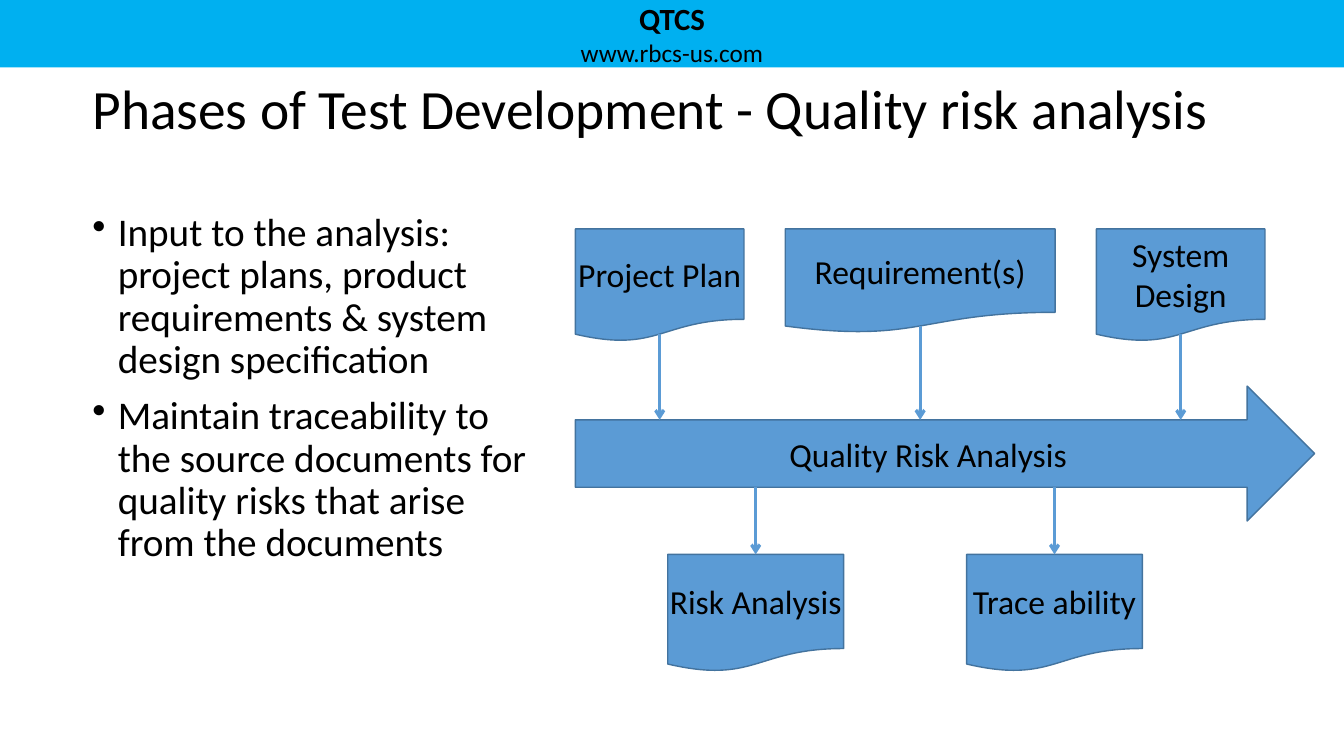
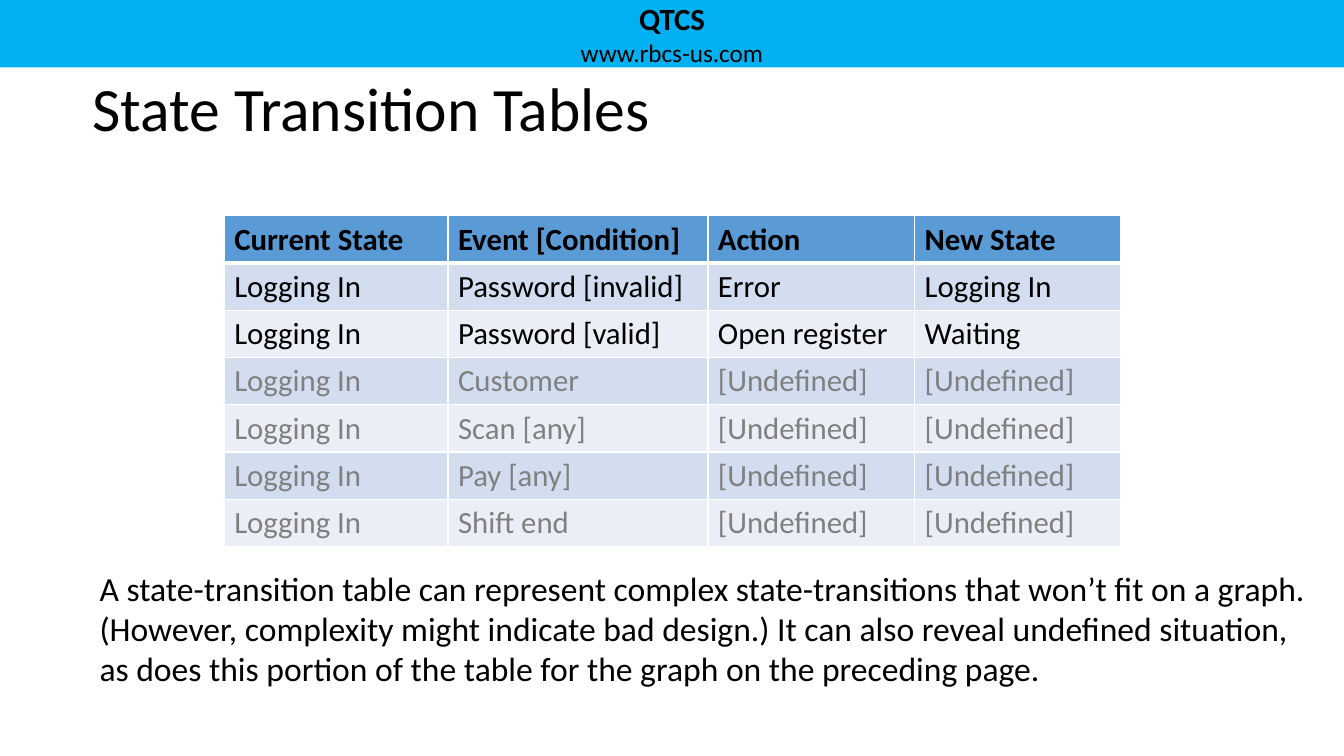
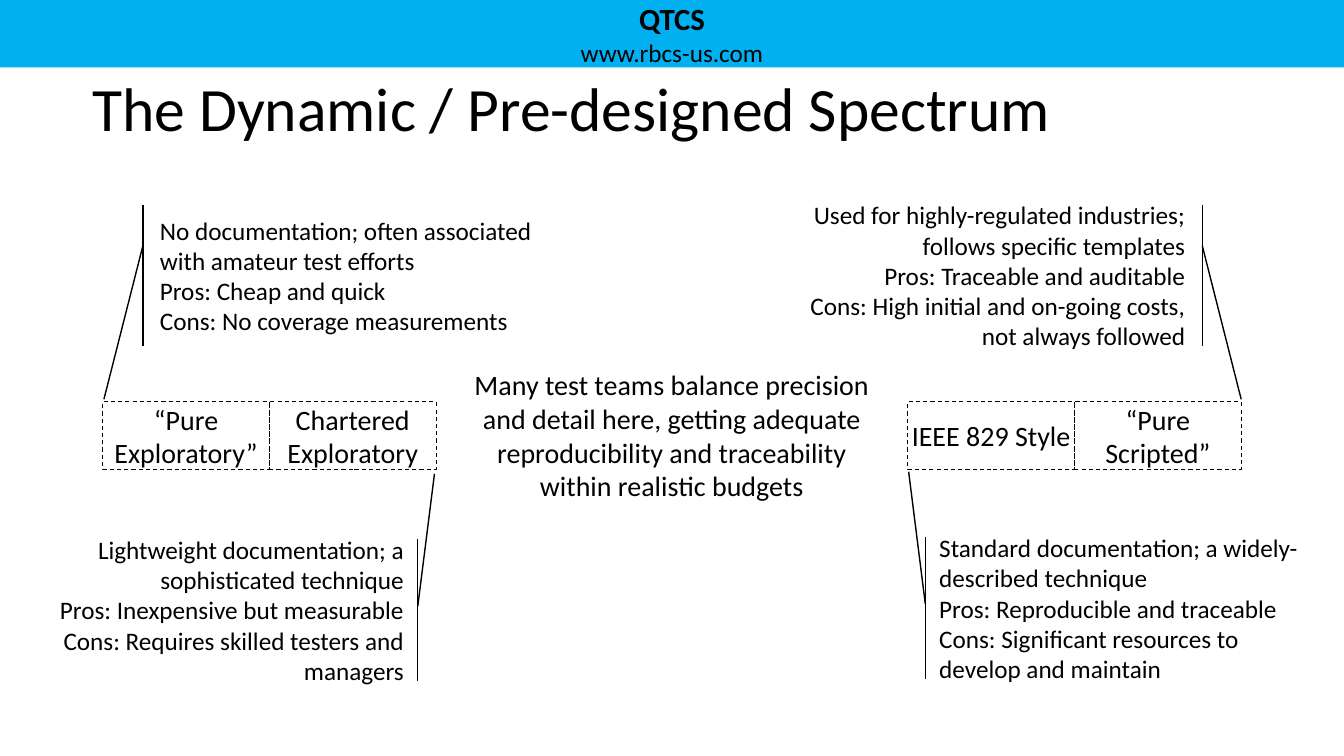
from lxml import etree
from pptx import Presentation, util as u
from pptx.dml.color import RGBColor
from pptx.enum import dml, shapes, text
from pptx.oxml import ns

WIDTH, HEIGHT = 33.87, 19.05
LEFT, CENTER, RIGHT = text.PP_ALIGN.LEFT, text.PP_ALIGN.CENTER, text.PP_ALIGN.RIGHT
TOP, MIDDLE = text.MSO_ANCHOR.TOP, text.MSO_ANCHOR.MIDDLE
SHAPE = shapes.MSO_SHAPE


def rgb(value):
    return RGBColor.from_string(value)


def add_xml(parent, tag, **attrs):
    return etree.SubElement(parent, ns.qn(tag), attrs)


def write(tf, txt, size=18, bold=False, color="000000", align=LEFT,
          spacing=None, before=0, bullet=None):
    p = tf.add_paragraph() if tf.text else tf.paragraphs[0]
    if bullet:
        pPr = p._p.get_or_add_pPr()
        pPr.set("marL", str(u.Cm(0.64)))
        pPr.set("indent", str(-u.Cm(0.64)))
        add_xml(pPr, "a:buChar", char=bullet)
    p.alignment = align
    if spacing:
        p.line_spacing = spacing
    if before:
        p.space_before = u.Pt(before)
    r = p.add_run()
    r.text = txt
    r.font.name = "Calibri"
    r.font.size = u.Pt(size)
    r.font.bold = bold
    r.font.color.rgb = rgb(color)


class Deck:
    BAND, ACCENT, EDGE = "00B0F0", "5B9BD5", "43739E"
    STRIPES = "EAEFF7", "D2DEEF"

    def __init__(self):
        self.prs = Presentation()
        self.prs.slide_width = u.Cm(WIDTH)
        self.prs.slide_height = u.Cm(HEIGHT)

    def slide(self, title, size=44):
        self.s = self.prs.slides.add_slide(self.prs.slide_layouts[6])
        band = self.shape(SHAPE.RECTANGLE, 0, 0, WIDTH, 1.7, fill=self.BAND,
                          anchor=TOP, margins=(0.25, 0, 0.25, 0))
        write(band.text_frame, "QTCS", size=22, bold=True, align=CENTER)
        write(band.text_frame, "www.rbcs-us.com", align=CENTER)
        tf = self.text(2.33, 1.48, 29.21, 2.54, anchor=MIDDLE, margins=(0, 0.13, 0, 0))
        write(tf, title, size=size, spacing=0.9)

    def frame(self, tf, anchor, margins):
        tf.word_wrap = True
        tf.vertical_anchor = anchor
        (tf.margin_left, tf.margin_top,
         tf.margin_right, tf.margin_bottom) = map(u.Cm, margins)
        return tf

    def text(self, x, y, w, h, anchor=TOP, margins=(0, 0, 0, 0)):
        sp = self.s.shapes.add_textbox(u.Cm(x), u.Cm(y), u.Cm(w), u.Cm(h))
        return self.frame(sp.text_frame, anchor, margins)

    def shape(self, kind, x, y, w, h, fill=None, line=None, width=1, dash=None,
              anchor=MIDDLE, margins=(0, 0, 0, 0)):
        sp = self.s.shapes.add_shape(kind, u.Cm(x), u.Cm(y), u.Cm(w), u.Cm(h))
        sp.shadow.inherit = False
        if fill:
            sp.fill.solid()
            sp.fill.fore_color.rgb = rgb(fill)
        else:
            sp.fill.background()
        if line:
            sp.line.color.rgb = rgb(line)
            sp.line.width = u.Pt(width)
            if dash:
                sp.line.dash_style = dash
        else:
            sp.line.fill.background()
        self.frame(sp.text_frame, anchor, margins)
        return sp

    def block(self, kind, label, x, y, w, h):
        sp = self.shape(kind, x, y, w, h, fill=self.ACCENT, line=self.EDGE)
        write(sp.text_frame, label, size=24, align=CENTER)
        return sp

    def dashed_box(self, label, x, y, w, h):
        sp = self.shape(SHAPE.RECTANGLE, x, y, w, h, line="000000", width=0.75,
                        dash=dml.MSO_LINE.DASH)
        write(sp.text_frame, label, size=20, align=CENTER)

    def arrow(self, x, top, bottom, target=None):
        c = self.s.shapes.add_connector(shapes.MSO_CONNECTOR.STRAIGHT,
                                        u.Cm(x), u.Cm(top), u.Cm(x), u.Cm(bottom))
        c.line.color.rgb = rgb(self.ACCENT)
        c.line.width = u.Pt(2.25)
        add_xml(c.line._get_or_add_ln(), "a:tailEnd", type="arrow")
        add_xml(c._element.spPr, "a:effectLst")
        if target:
            c.end_connect(target, 0)

    def callout(self, lines, x, y, adjustments, mirrored):
        sp = self.shape(SHAPE.LINE_CALLOUT_1_ACCENT_BAR, x, y, 10, 3.56,
                        line="000000", margins=(0.25, 0.13, 0.25, 0.13))
        for i, value in enumerate(adjustments):
            sp.adjustments[i] = 1 - value if mirrored and i % 2 else value
        for line in lines:
            write(sp.text_frame, line, align=RIGHT if mirrored else LEFT)

    def table(self, rows, x, y, widths, row_height, muted_from):
        tbl = self.s.shapes.add_table(len(rows), len(widths), u.Cm(x), u.Cm(y),
                                      u.Cm(sum(widths)),
                                      u.Cm(row_height * len(rows))).table
        for col, w in zip(tbl.columns, widths):
            col.width = u.Cm(w)
        for i, row in enumerate(rows):
            for j, label in enumerate(row):
                cell = tbl.cell(i, j)
                write(cell.text_frame, label, size=22, bold=i == 0,
                      color="808080" if i >= muted_from else "000000")
                self.borders(cell, top=3 if i == 1 else 1, bottom=3 if i == 0 else 1)
                cell.fill.solid()
                cell.fill.fore_color.rgb = rgb(self.STRIPES[i % 2] if i else self.ACCENT)

    def borders(self, cell, top, bottom):
        tcPr = cell._tc.get_or_add_tcPr()
        for side, width in zip("LRTB", (1, 1, top, bottom)):
            ln = add_xml(tcPr, f"a:ln{side}", w=str(u.Pt(width)))
            add_xml(add_xml(ln, "a:solidFill"), "a:srgbClr", val="FFFFFF")


def risk_analysis(d):
    d.slide("Phases of Test Development - Quality risk analysis", size=39.6)
    left, top, body_top, body_bottom = 14.5, 5.77, 10.58, 12.28
    d.block(SHAPE.RIGHT_ARROW, "Quality Risk Analysis", left, 9.73, 18.63, 3.4)
    x = left
    for label, w, h in (("Project Plan", 4.25, 2.84), ("Requirement(s)", 6.8, 2.62),
                        ("System Design", 4.25, 2.84)):
        d.block(SHAPE.FLOWCHART_DOCUMENT, label, x, top, w, h)
        d.arrow(x + w / 2, top + 0.93 * h, body_top)
        x += w + 1.04
    out_top, out_width = 13.97, 4.43
    for label, x in (("Risk Analysis", 16.83), ("Trace ability", 24.36)):
        sp = d.block(SHAPE.FLOWCHART_DOCUMENT, label, x, out_top, out_width, 2.96)
        d.arrow(x + out_width / 2, body_bottom, out_top, sp)
    tf = d.text(2.33, 5.36, 11.43, 13.23)
    for i, line in enumerate((
            "Input to the analysis: project plans, product requirements & system "
            "design specification",
            "Maintain traceability to the source documents for quality risks that "
            "arise from the documents")):
        write(tf, line, size=28, spacing=0.9, before=10 if i else 0, bullet="•")


def transition_tables(d):
    d.slide("State Transition Tables")
    undefined = ["[Undefined]"] * 2
    rows = [["Current State", "Event [Condition]", "Action", "New State"],
            ["Logging In", "Password [invalid]", "Error", "Logging In"],
            ["Logging In", "Password [valid]", "Open register", "Waiting"]]
    rows += [["Logging In", event, *undefined]
             for event in ("Customer", "Scan [any]", "Pay [any]", "Shift end")]
    d.table(rows, 5.65, 5.44, (5.64, 6.55, 5.21, 5.18), 1.19, muted_from=3)
    tf = d.text(2.26, 14.17, 31.09, 3.33, margins=(0.25, 0.13, 0.25, 0.13))
    write(tf, "A state-transition table can represent complex state-transitions that "
              "won’t fit on a graph. (However, complexity might indicate bad design.) "
              "It can also reveal undefined situation, as does this portion of the "
              "table for the graph on the preceding page.", size=24)


def spectrum(d):
    d.slide("The Dynamic / Pre-designed Spectrum")
    tf = d.text(11.87, 9.27, 10.12, 3.43)
    write(tf, "Many test teams balance precision and detail here, getting adequate "
              "reproducibility and traceability within realistic budgets",
          size=20, align=CENTER)
    edge, w = 2.59, 4.2
    for start, labels in ((edge, ("“Pure Exploratory”", "Chartered Exploratory")),
                          (WIDTH - edge - 2 * w, ("IEEE 829 Style", "“Pure Scripted”"))):
        for i, label in enumerate(labels):
            d.dashed_box(label, start + i * w, 10.13, w, 1.7)
    upper = 0.291, -0.018, 1.377, -0.116
    lower = 0.473, -0.01, -0.464, -0.052
    d.callout(("No documentation; often associated with amateur test efforts",
               "Pros: Cheap and quick",
               "Cons: No coverage measurements"), 3.78, 5.16, upper, False)
    d.callout(("Used for highly-regulated industries; follows specific templates",
               "Pros: Traceable and auditable",
               "Cons: High initial and on-going costs, not always followed"),
              20.12, 5.16, upper, True)
    d.callout(("Lightweight documentation; a sophisticated technique",
               "Pros: Inexpensive but measurable",
               "Cons: Requires skilled testers and managers"),
              0.43, 13.59, lower, True)
    d.callout(("Standard documentation; a widely-described technique",
               "Pros: Reproducible and traceable",
               "Cons: Significant resources to develop and maintain"),
              23.42, 13.54, lower, False)


def main():
    d = Deck()
    risk_analysis(d)
    transition_tables(d)
    spectrum(d)
    d.prs.save("out.pptx")


if __name__ == "__main__":
    main()
